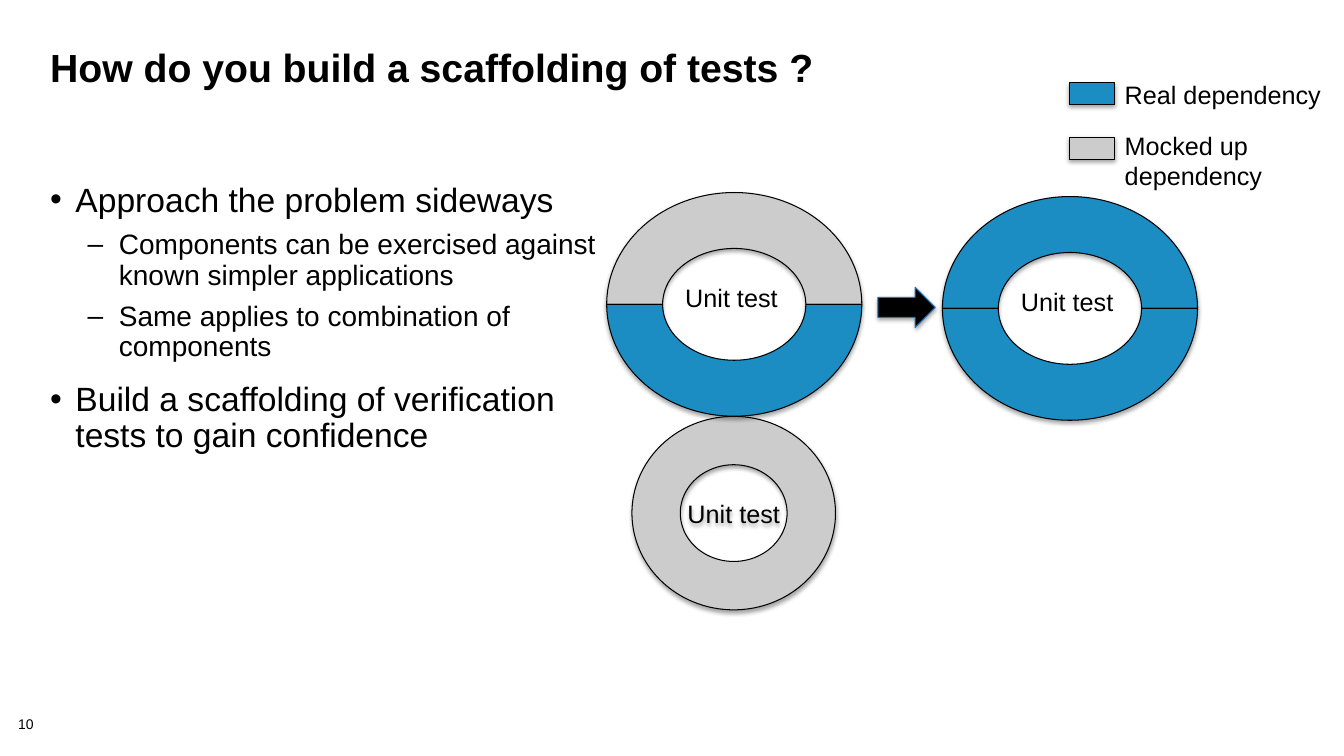
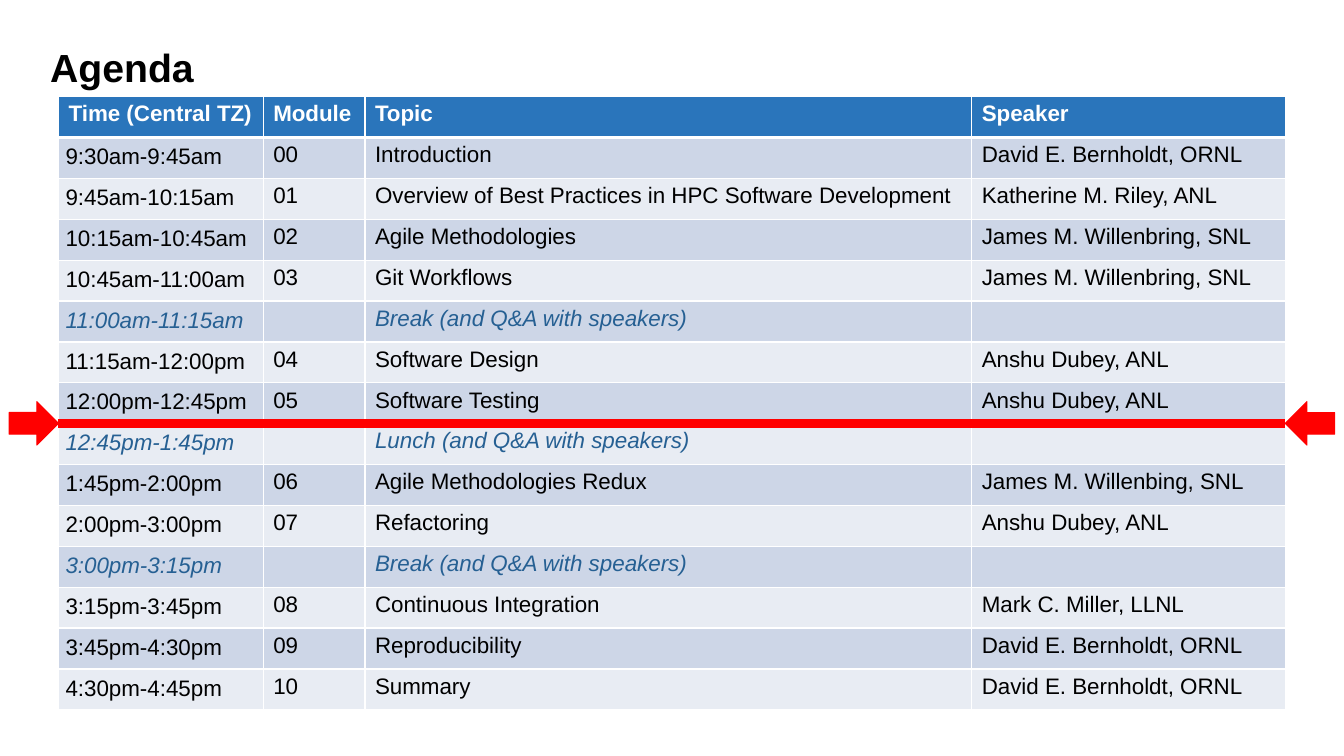
from dataclasses import dataclass

from lxml.etree import SubElement
from pptx import Presentation
from pptx.dml.color import RGBColor as RGB
from pptx.enum.shapes import MSO_CONNECTOR as Connector, MSO_SHAPE as Shape
from pptx.enum.text import MSO_ANCHOR as Anchor, PP_ALIGN as Align
from pptx.oxml.ns import qn
from pptx.util import Pt


@dataclass(frozen=True)
class Theme:
    font: str = "Arial"
    black: str = "000000"
    white: str = "FFFFFF"
    real: str = "1B8DC3"
    mocked: str = "CCCCCC"
    arrow_edge: str = "2673BA"
    header: str = "2A75BB"
    bands: tuple = ("CDD6E7", "E8ECF3")
    pause: str = "266093"
    marker: str = "FF0000"
    title_size: int = 28
    point_size: int = 24
    subpoint_size: int = 20
    label_size: int = 18
    table_size: int = 16
    number_size: int = 10


theme = Theme()


def write(frame, lines, size, color=theme.black, spacing=None, frame_format=None, **font_format):
    """Fill a text frame with one paragraph per line, all in one style."""
    for name, value in (frame_format or {}).items():
        setattr(frame, name, value)
    frame.text = "\n".join(lines)
    for paragraph in frame.paragraphs:
        paragraph.line_spacing = spacing
        for run in paragraph.runs:
            font = {"name": theme.font, "size": Pt(size), **font_format}
            for name, value in font.items():
                setattr(run.font, name, value)
            run.font.color.rgb = RGB.from_string(color)
    return frame


def add_figure(slide, kind, box, fill, line=theme.black, shadowed=True):
    figure = slide.shapes.add_shape(kind, *map(Pt, box))
    figure.fill.solid()
    figure.fill.fore_color.rgb = RGB.from_string(fill)
    figure.line.color.rgb = RGB.from_string(line)
    figure.line.width = Pt(0.75)
    figure.shadow.inherit = False
    if shadowed:
        effects = figure._element.spPr.find(qn("a:effectLst"))
        shadow = SubElement(effects, qn("a:outerShdw"), blurRad=str(Pt(3.1)),
                            dist=str(Pt(1.8)), dir="5400000", rotWithShape="0")
        shade = SubElement(shadow, qn("a:srgbClr"), val=theme.black)
        SubElement(shade, qn("a:alpha"), val="35000")
    return figure


deck = Presentation()
deck.slide_width, deck.slide_height = Pt(960), Pt(540)
blank = deck.slide_layouts[6]

slides = []
for title in ("How do you build a scaffolding of tests ?", "Agenda"):
    slide = deck.slides.add_slide(blank)
    title_box = slide.shapes.add_textbox(Pt(28.8), Pt(32.4), Pt(895.7), Pt(72))
    write(title_box.text_frame, [title], theme.title_size, spacing=0.85,
          frame_format={"word_wrap": True}, bold=True)
    slides.append(slide)
scaffolding, agenda = slides

# Scaffolding: page number
no_margins = {f"margin_{side}": 0 for side in ("left", "top", "right", "bottom")}
page_number = scaffolding.shapes.add_textbox(Pt(13), Pt(512.6), Pt(40), Pt(11.5))
write(page_number.text_frame, ["10"], theme.number_size, spacing=0.9, frame_format=no_margins)

# Scaffolding: bulleted points
points = [
    (0, "Approach the problem sideways"),
    (1, "Components can be exercised against known simpler applications"),
    (1, "Same applies to combination of components"),
    (0, "Build a scaffolding of verification tests to gain confidence"),
]
# bullet, text size, space before, left margin, indent
levels = [
    ("•", theme.point_size, 14, 18, -18),
    ("–", theme.subpoint_size, 8, 49, -22.3),
]
points_box = scaffolding.shapes.add_textbox(Pt(28.8), Pt(127.4), Pt(404.6), Pt(336.2))
points_frame = write(points_box.text_frame, [text for _, text in points], theme.point_size,
                     spacing=0.9, frame_format={"word_wrap": True})
for index, (paragraph, (level, _)) in enumerate(zip(points_frame.paragraphs, points)):
    bullet, size, before, margin, indent = levels[level]
    paragraph.level = level
    paragraph.space_before = Pt(before if index else 0)
    properties = paragraph._p.get_or_add_pPr()
    properties.set("marL", str(Pt(margin)))
    properties.set("indent", str(Pt(indent)))
    SubElement(SubElement(properties, qn("a:buClr")), qn("a:srgbClr"), val=theme.black)
    SubElement(properties, qn("a:buFont"), typeface=theme.font)
    SubElement(properties, qn("a:buChar"), char=bullet)
    paragraph.runs[0].font.size = Pt(size)

# Scaffolding: fully mocked ring, then the two rings of halves
mocked_ring = add_figure(scaffolding, Shape.DONUT, (451.4, 297.4, 145.4, 138.2), theme.mocked)
write(mocked_ring.text_frame, ["Unit test"], theme.label_size,
      frame_format={"vertical_anchor": Anchor.MIDDLE})
mocked_ring.text_frame.paragraphs[0].alignment = Align.CENTER

labels = []
for left, top, upper in ((433.4, 137.5, theme.mocked), (673.2, 140.4, theme.real)):
    ring = (left, top, 182.2, 159.8)
    add_figure(scaffolding, Shape.BLOCK_ARC, ring, upper)
    lower_half = add_figure(scaffolding, Shape.BLOCK_ARC, ring, theme.real)
    lower_half._element.spPr.find(qn("a:xfrm")).set("flipV", "1")
    labels.append((["Unit test"], (left + 49, top + 60.8, 81.4, 28.8)))

add_figure(scaffolding, Shape.RIGHT_ARROW, (627.1, 205.2, 41, 28.8), theme.black, theme.arrow_edge)

# Scaffolding: legend
for top, fill in ((59, theme.real), (98, theme.mocked)):
    add_figure(scaffolding, Shape.RECTANGLE, (764, top, 32.4, 15.8), fill)
labels += [
    (["Real dependency"], (796.3, 53.3, 156.2, 28.8)),
    (["Mocked up", "dependency"], (796.3, 89.3, 113.8, 51.1)),
]
for lines, box in labels:
    label_box = scaffolding.shapes.add_textbox(*map(Pt, box))
    write(label_box.text_frame, lines, theme.label_size, frame_format={"word_wrap": False})

# Agenda: timetable
sessions = [
    ("Time (Central TZ)", "Module", "Topic", "Speaker"),
    ("9:30am-9:45am", "00", "Introduction", "David E. Bernholdt, ORNL"),
    ("9:45am-10:15am", "01", "Overview of Best Practices in HPC Software Development",
     "Katherine M. Riley, ANL"),
    ("10:15am-10:45am", "02", "Agile Methodologies", "James M. Willenbring, SNL"),
    ("10:45am-11:00am", "03", "Git Workflows", "James M. Willenbring, SNL"),
    ("11:00am-11:15am", "", "Break (and Q&A with speakers)", ""),
    ("11:15am-12:00pm", "04", "Software Design", "Anshu Dubey, ANL"),
    ("12:00pm-12:45pm", "05", "Software Testing", "Anshu Dubey, ANL"),
    ("12:45pm-1:45pm", "", "Lunch (and Q&A with speakers)", ""),
    ("1:45pm-2:00pm", "06", "Agile Methodologies Redux", "James M. Willenbing, SNL"),
    ("2:00pm-3:00pm", "07", "Refactoring", "Anshu Dubey, ANL"),
    ("3:00pm-3:15pm", "", "Break (and Q&A with speakers)", ""),
    ("3:15pm-3:45pm", "08", "Continuous Integration", "Mark C. Miller, LLNL"),
    ("3:45pm-4:30pm", "09", "Reproducibility", "David E. Bernholdt, ORNL"),
    ("4:30pm-4:45pm", "10", "Summary", "David E. Bernholdt, ORNL"),
]
column_widths = (146.2, 72.7, 433.4, 223.9)
row_height = 29.18
table_left, table_top = 41.8, 69.1
table_right = table_left + sum(column_widths)
timetable = agenda.shapes.add_table(
    len(sessions), len(column_widths), Pt(table_left), Pt(table_top),
    Pt(sum(column_widths)), Pt(row_height * len(sessions))).table
timetable.first_row = timetable.horz_banding = False
for column, width in zip(timetable.columns, column_widths):
    column.width = Pt(width)
time_margins = {name: Pt(5) for name in no_margins}

for row_index, session in enumerate(sessions):
    timetable.rows[row_index].height = Pt(row_height)
    is_header = row_index == 0
    is_pause = not session[1]
    if is_header:
        fill, color = theme.header, theme.white
    else:
        fill = theme.bands[(row_index - 1) % 2]
        color = theme.pause if is_pause else theme.black
    borders = {"lnL": 1, "lnR": 1, "lnT": 3 if row_index == 1 else 1, "lnB": 3 if is_header else 1}
    for column_index, text in enumerate(session):
        cell = timetable.cell(row_index, column_index)
        properties = cell._tc.get_or_add_tcPr()
        for edge, width in borders.items():
            border = SubElement(properties, qn(f"a:{edge}"), w=str(Pt(width)))
            SubElement(SubElement(border, qn("a:solidFill")), qn("a:srgbClr"), val=theme.white)
        cell.fill.solid()
        cell.fill.fore_color.rgb = RGB.from_string(fill)
        if column_index == 0 and not is_header:
            for name, value in time_margins.items():
                setattr(cell, name, value)
        write(cell.text_frame, [text], theme.table_size, color, bold=is_header, italic=is_pause)

# Agenda: marker for the current time
marker_y = 302.4
marker = agenda.shapes.add_connector(Connector.STRAIGHT, Pt(table_left), Pt(marker_y),
                                     Pt(table_right), Pt(marker_y))
marker.line.color.rgb = RGB.from_string(theme.marker)
marker.line.width = Pt(6)
SubElement(marker._element.spPr, qn("a:effectLst"))

pointer_width, pointer_height = 35.3, 31
for left, rotation in ((table_left - pointer_width, 0), (table_right, 180)):
    pointer = add_figure(
        agenda, Shape.RIGHT_ARROW,
        (left, marker_y - pointer_height / 2, pointer_width, pointer_height),
        theme.marker, theme.marker, shadowed=False)
    pointer.rotation = rotation

deck.save("out.pptx")
